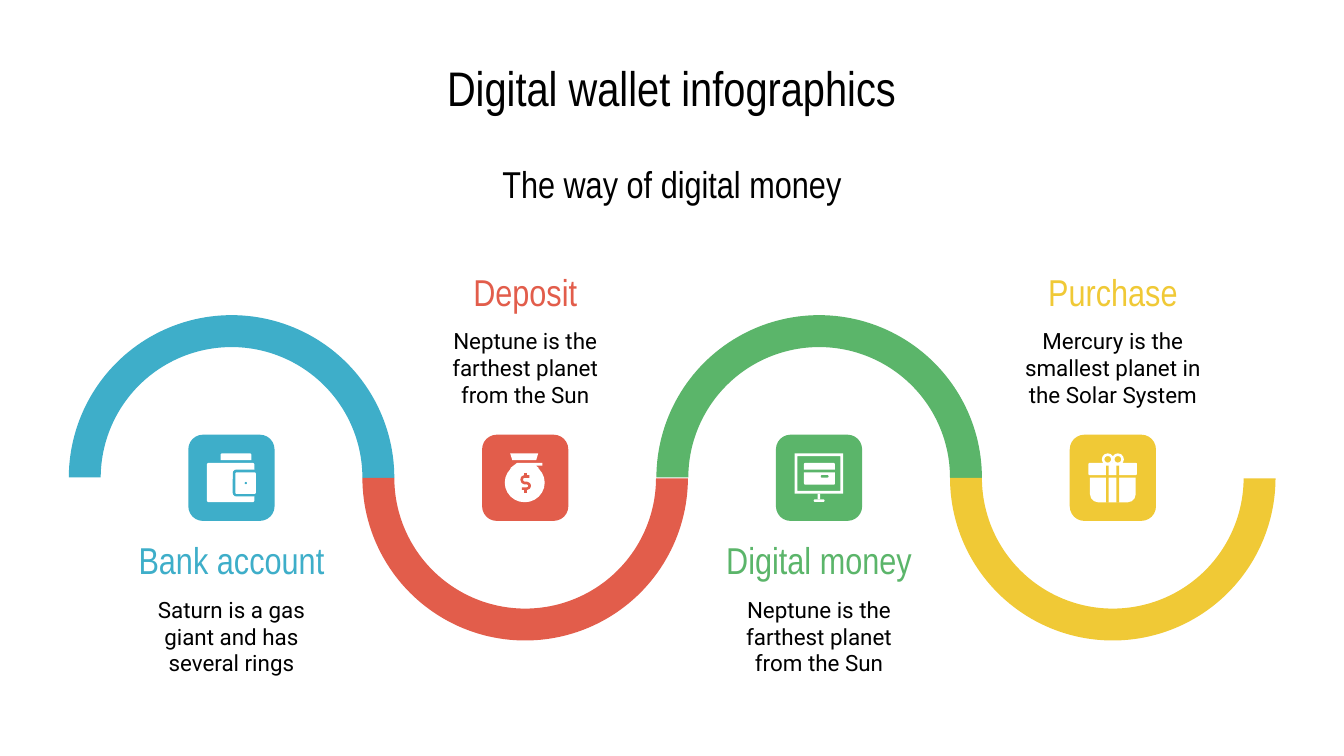
import pptx
import pptx.util
import pptx.dml.color
import pptx.enum.shapes
import pptx.enum.text

Pt = pptx.util.Pt
RGBColor = pptx.dml.color.RGBColor
SHAPE = pptx.enum.shapes.MSO_SHAPE

BLACK = RGBColor(0x00, 0x00, 0x00)
WHITE = RGBColor(0xFF, 0xFF, 0xFF)
BLUE = RGBColor(0x3E, 0xAE, 0xC9)
RED = RGBColor(0xE2, 0x5D, 0x4B)
GREEN = RGBColor(0x5B, 0xB5, 0x6A)
YELLOW = RGBColor(0xF0, 0xC9, 0x36)

HEADING_FONT = "Arial Narrow"
BODY_FONT = "Roboto"

SLIDE_WIDTH = 720
SLIDE_HEIGHT = 405
FIRST_CENTER = 124
PITCH = 157.4
MIDDLE = 256
ARC_SIZE = 174.4
TILE_SIZE = 46.2
LABEL_WIDTH = 120
HEADING_HEIGHT = 26.7
BODY_HEIGHT = 55


def add_solid(slide, kind, box, color, adjustments=(), rotation=0):
    solid = slide.shapes.add_shape(kind, *map(Pt, box))
    solid.shadow.inherit = False
    solid.fill.solid()
    solid.fill.fore_color.rgb = color
    solid.line.fill.background()
    solid.rotation = rotation
    for index, value in enumerate(adjustments):
        solid.adjustments[index] = value


def add_label(slide, box, text, font_name, size, color):
    frame = slide.shapes.add_textbox(*map(Pt, box)).text_frame
    frame.word_wrap = True
    frame.vertical_anchor = pptx.enum.text.MSO_ANCHOR.MIDDLE
    frame.margin_left = frame.margin_right = Pt(7.2)
    frame.margin_top = frame.margin_bottom = Pt(7.2)
    line = frame.paragraphs[0]
    line.text = text
    line.alignment = pptx.enum.text.PP_ALIGN.CENTER
    line.font.name = font_name
    line.font.size = Pt(size)
    line.font.color.rgb = color


def add_outline(slide, left, top, strokes, close):
    placed = [[(Pt(left + x), Pt(top + y)) for x, y in stroke] for stroke in strokes]
    builder = slide.shapes.build_freeform(*placed[0][0])
    builder.add_line_segments(placed[0][1:], close=close)
    for stroke in placed[1:]:
        builder.move_to(*stroke[0])
        builder.add_line_segments(stroke[1:], close=close)
    outline = builder.convert_to_shape()
    outline.shadow.inherit = False
    return outline


def add_parts(slide, left, top, parts):
    for kind, (x, y, width, height), *style in parts:
        add_solid(slide, kind, (left + x, top + y, width, height), *style)


def draw_wallet(slide, left, top, color):
    add_parts(slide, left, top, [
        (SHAPE.ROUNDED_RECTANGLE, (10, 15.1, 25.4, 21), WHITE, [0.04]),
        (SHAPE.ROUNDED_RECTANGLE, (23.8, 18.7, 13, 14.4), color, [0.15]),
        (SHAPE.ROUNDED_RECTANGLE, (25.2, 20.2, 11, 11.5), WHITE, [0.06]),
        (SHAPE.OVAL, (30.2, 25.3, 1.2, 1.2), color),
        (SHAPE.ROUND_2_SAME_RECTANGLE, (17.3, 10, 16.5, 3.6), WHITE, [0.2, 0]),
    ])


def draw_money_bag(slide, left, top, color):
    add_parts(slide, left, top, [
        (SHAPE.TRAPEZOID, (15, 10, 15, 3.6), WHITE, [0.3], 180),
        (SHAPE.OVAL, (12.1, 15.2, 21.4, 21), WHITE),
    ])
    shoulders = [(18.7, 15.1), (32.2, 15.1), (32.2, 16.6),
                 (28.8, 16.6), (30.5, 18), (15, 18)]
    bag_neck = add_outline(slide, left, top, [shoulders], True)
    bag_neck.fill.solid()
    bag_neck.fill.fore_color.rgb = WHITE
    bag_neck.line.fill.background()
    curve = [(25.3, 22.4), (22.6, 22.4), (21.5, 23), (21.2, 24.1),
             (21.6, 25.3), (22.6, 25.9), (24.1, 25.9), (25.2, 26.5),
             (25.5, 27.4), (25.1, 28.4), (24.1, 28.9), (21.3, 28.9)]
    bars = [[(23.2, 20.4), (23.2, 22.4)], [(23.2, 28.9), (23.2, 31)]]
    dollar = add_outline(slide, left, top, [curve] + bars, False)
    dollar.fill.background()
    dollar.line.color.rgb = color
    dollar.line.width = Pt(1.4)


def draw_monitor(slide, left, top, color):
    add_parts(slide, left, top, [
        (SHAPE.FRAME, (10, 10, 26, 21.6), WHITE, [0.07]),
        (SHAPE.RECTANGLE, (22.3, 31.5, 1.4, 3.2), WHITE),
        (SHAPE.ROUNDED_RECTANGLE, (20.2, 34.6, 5.8, 1.4), WHITE, [0.5]),
        (SHAPE.ROUND_2_SAME_RECTANGLE, (15, 15.1, 16.6, 3.6), WHITE, [0.2, 0]),
        (SHAPE.ROUND_2_SAME_RECTANGLE, (15, 20.2, 16.6, 6.5), WHITE, [0.1, 0], 180),
        (SHAPE.ROUNDED_RECTANGLE, (24, 21.6, 4.2, 1.4), color, [0.5]),
    ])


def draw_gift(slide, left, top, color):
    add_parts(slide, left, top, [
        (SHAPE.ROUNDED_RECTANGLE, (10, 15.1, 26, 6.5), WHITE, [0.1]),
        (SHAPE.ROUND_2_SAME_RECTANGLE, (10.8, 23, 24.5, 13.2), WHITE, [0.33, 0], 180),
    ])
    for bow_x, ribbon_x in ((17.2, 19.5), (22.6, 25)):
        add_parts(slide, left, top, [
            (SHAPE.DONUT, (bow_x, 10, 6.4, 6.4), WHITE, [0.22]),
            (SHAPE.RECTANGLE, (ribbon_x, 16.6, 1.4, 19.8), color),
        ])


def draw_step(slide, center, heading, body, color, draw_icon, arched):
    add_solid(slide, SHAPE.BLOCK_ARC,
              (center - ARC_SIZE / 2, MIDDLE - ARC_SIZE / 2, ARC_SIZE, ARC_SIZE),
              color, [0.13, 107.99, 0.098], 180 if arched else 0)
    tile_left = center - TILE_SIZE / 2
    tile_top = MIDDLE - TILE_SIZE / 2
    add_solid(slide, SHAPE.ROUNDED_RECTANGLE,
              (tile_left, tile_top, TILE_SIZE, TILE_SIZE), color, [0.17])
    draw_icon(slide, tile_left, tile_top, color)
    label_left = center - LABEL_WIDTH / 2
    label_top = MIDDLE + 30.6 if arched else MIDDLE - 113.4
    add_label(slide, (label_left, label_top, LABEL_WIDTH, HEADING_HEIGHT),
              heading, HEADING_FONT, 20, color)
    add_label(slide, (label_left, label_top + HEADING_HEIGHT, LABEL_WIDTH, BODY_HEIGHT),
              body, BODY_FONT, 12, BLACK)


def draw_titles(slide):
    add_label(slide, (32.4, 24, 655.2, 45), "Digital wallet infographics",
              HEADING_FONT, 26, BLACK)
    add_label(slide, (158, 85, 404, HEADING_HEIGHT), "The way of digital money",
              HEADING_FONT, 20, BLACK)


def main():
    deck = pptx.Presentation()
    deck.slide_width = Pt(SLIDE_WIDTH)
    deck.slide_height = Pt(SLIDE_HEIGHT)
    slide = deck.slides.add_slide(deck.slide_layouts[6])
    draw_titles(slide)
    steps = [
        ("Bank account", "Saturn is a gas giant and has several rings", BLUE, draw_wallet),
        ("Deposit", "Neptune is the farthest planet from the Sun", RED, draw_money_bag),
        ("Digital money", "Neptune is the farthest planet from the Sun", GREEN, draw_monitor),
        ("Purchase", "Mercury is the smallest planet in the Solar System", YELLOW, draw_gift),
    ]
    for index, step in enumerate(steps):
        draw_step(slide, FIRST_CENTER + index * PITCH, *step, arched=index % 2 == 0)
    deck.save("out.pptx")


if __name__ == "__main__":
    main()
